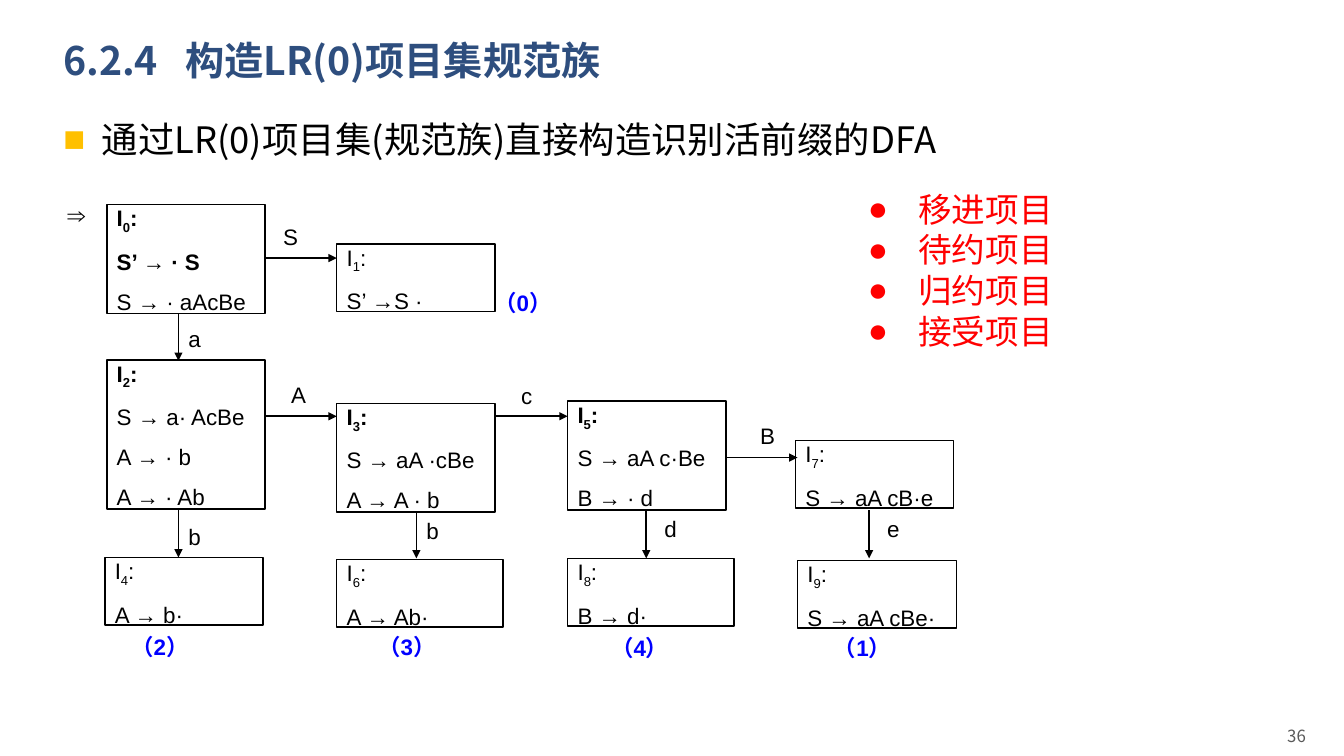
import pptx
import pptx.dml.color
import pptx.enum.shapes
import pptx.enum.text
import pptx.oxml
import pptx.oxml.ns
import pptx.util
from pptx.util import Inches

RGBColor = pptx.dml.color.RGBColor
BLACK = RGBColor(0x00, 0x00, 0x00)
NAVY = RGBColor(0x2E, 0x4E, 0x7E)
GOLD = RGBColor(0xFF, 0xC0, 0x00)
GRAY = RGBColor(0x59, 0x59, 0x59)
RED = RGBColor(0xFF, 0x00, 0x00)
BLUE = RGBColor(0x00, 0x00, 0xFF)

CJK = "Noto Sans CJK SC"
ALIGN = pptx.enum.text.PP_ALIGN
ANCHOR = pptx.enum.text.MSO_ANCHOR

TITLE = {"name": CJK, "size": 28, "color": NAVY, "bold": True}
BODY = {"name": CJK, "size": 26, "color": BLACK}
PAGE = {"name": CJK, "size": 12, "color": GRAY}
ITEM = {"name": "Arial", "size": 16, "color": BLACK}
KERNEL = {**ITEM, "bold": True}
REDUCTION = {**KERNEL, "color": BLUE}
KIND = {"name": "Arial", "size": 24, "color": RED}
START = {"name": "Times New Roman", "size": 18, "color": BLACK, "bold": True}

STATES = [
    (0, 1.06, 2.03, 1.57, 1.08, 2, ["S’ → · S", "S → · aAcBe"]),
    (1, 3.34, 2.42, 1.57, 0.67, 0, ["S’ →S ·"]),
    (2, 1.06, 3.57, 1.57, 1.48, 1, ["S → a· AcBe", "A → · b", "A → · Ab"]),
    (3, 3.34, 4.00, 1.57, 1.08, 1, ["S → aA ·cBe", "A → A · b"]),
    (4, 1.04, 5.53, 1.57, 0.67, 0, ["A → b·"]),
    (5, 5.63, 3.98, 1.57, 1.08, 1, ["S → aA c·Be", "B → · d"]),
    (6, 3.34, 5.55, 1.65, 0.67, 0, ["A → Ab·"]),
    (7, 7.89, 4.37, 1.57, 0.67, 0, ["S → aA cB·e"]),
    (8, 5.63, 5.54, 1.65, 0.67, 0, ["B → d·"]),
    (9, 7.91, 5.56, 1.58, 0.67, 0, ["S → aA cBe·"]),
]
TRANSITIONS = [
    ("S", 2.63, 2.56, 3.34, 2.56, 2.71, 2.16),
    ("A", 2.63, 4.13, 3.34, 4.13, 2.79, 3.73),
    ("c", 4.92, 4.13, 5.63, 4.13, 5.07, 3.74),
    ("B", 7.20, 4.54, 7.91, 4.54, 7.44, 4.14),
    ("a", 1.77, 3.11, 1.77, 3.58, 1.77, 3.18),
    ("b", 1.77, 5.06, 1.77, 5.53, 1.77, 5.14),
    ("b", 4.13, 5.07, 4.13, 5.54, 4.13, 5.08),
    ("d", 6.41, 5.06, 6.41, 5.54, 6.49, 5.06),
    ("e", 8.62, 5.06, 8.62, 5.54, 8.70, 5.06),
]
REDUCTIONS = [
    ("（0）", 4.74, 2.82),
    ("（2）", 1.14, 6.23),
    ("（3）", 3.59, 6.23),
    ("（4）", 5.90, 6.24),
    ("（1）", 8.11, 6.24),
]
ITEM_KINDS = ["移进项目", "待约项目", "归约项目", "接受项目"]


def add_element(parent, tag, **attributes):
    """Append a drawing element with attributes and return it."""
    element = pptx.oxml.parse_xml(f"<a:{tag} {pptx.oxml.ns.nsdecls('a')}/>")
    for key, value in attributes.items():
        element.set(key, str(value))
    parent.append(element)
    return element


def add_run(paragraph, text, style, subscript=False):
    """Add a run in the given style."""
    run = paragraph.add_run()
    run.text = text
    values = {**style, "size": pptx.util.Pt(style["size"])}
    run.font.color.rgb = values.pop("color")
    for key, value in values.items():
        setattr(run.font, key, value)
    properties = run._r.get_or_add_rPr()
    add_element(properties, "ea", typeface=style["name"])
    if subscript:
        properties.set("baseline", "-25000")


def add_text(slide, box, lines, style, anchor=ANCHOR.TOP, **formats):
    """Add a text box with one paragraph per line and return its paragraphs."""
    frame = slide.shapes.add_textbox(*map(Inches, box)).text_frame
    frame.word_wrap = True
    frame.vertical_anchor = anchor
    for index, line in enumerate(lines):
        paragraph = frame.add_paragraph() if index else frame.paragraphs[0]
        add_run(paragraph, line, style)
        for key, value in formats.items():
            setattr(paragraph, key, value)
    return frame.paragraphs


def add_bullets(paragraphs, character, color, indent):
    """Give paragraphs a coloured bullet and a hanging indent."""
    for paragraph in paragraphs:
        properties = paragraph._p.get_or_add_pPr()
        properties.set("marL", str(Inches(indent)))
        properties.set("indent", str(Inches(-indent)))
        bullet_color = add_element(properties, "buClr")
        add_element(bullet_color, "srgbClr", val=color)
        add_element(properties, "buFont", typeface="Arial")
        add_element(properties, "buChar", char=character)


def add_state(slide, number, left, top, width, height, bold_lines, items):
    """Add the box of one item set."""
    shape = slide.shapes.add_shape(
        pptx.enum.shapes.MSO_SHAPE.RECTANGLE,
        *map(Inches, (left, top, width, height)))
    shape.shadow.inherit = False
    shape.fill.background()
    shape.line.color.rgb = BLACK
    shape.line.width = pptx.util.Pt(1)
    frame = shape.text_frame
    formats = {"word_wrap": True, "vertical_anchor": ANCHOR.TOP,
               "margin_top": 0, "margin_bottom": 0}
    for key, value in formats.items():
        setattr(frame, key, value)
    heading = frame.paragraphs[0]
    heading.alignment = ALIGN.LEFT
    heading_style = KERNEL if bold_lines else ITEM
    add_run(heading, "I", heading_style)
    add_run(heading, str(number), heading_style, subscript=True)
    add_run(heading, ":", heading_style)
    for index, item in enumerate(items, start=1):
        paragraph = frame.add_paragraph()
        paragraph.alignment = ALIGN.LEFT
        paragraph.space_before = pptx.util.Pt(9.2)
        add_run(paragraph, item, KERNEL if index < bold_lines else ITEM)


def add_transition(slide, symbol, x1, y1, x2, y2, label_left, label_top):
    """Add an arrow between two states with its symbol."""
    arrow = slide.shapes.add_connector(
        pptx.enum.shapes.MSO_CONNECTOR.STRAIGHT,
        *map(Inches, (x1, y1, x2, y2)))
    arrow.line.color.rgb = BLACK
    arrow.line.width = pptx.util.Pt(1.25)
    add_element(arrow.line._get_or_add_ln(), "tailEnd", type="triangle")
    add_element(arrow._element.spPr, "effectLst")
    add_text(slide, (label_left, label_top, 0.31, 0.37), [symbol], ITEM)


def main():
    """Build the slide and save it."""
    presentation = pptx.Presentation()
    presentation.slide_width = Inches(13.33)
    presentation.slide_height = Inches(7.5)
    slide = presentation.slides.add_slide(presentation.slide_layouts[6])

    title = add_text(slide, (0.53, 0.28, 11.5, 0.68),
                     ["6.2.4\t构造LR(0)项目集规范族"], TITLE,
                     ANCHOR.MIDDLE, line_spacing=0.9)
    tabs = add_element(title[0]._p.get_or_add_pPr(), "tabLst")
    add_element(tabs, "tab", pos=Inches(1.21), algn="l")
    body = add_text(slide, (0.53, 1.03, 11.5, 0.68),
                    ["通过LR(0)项目集(规范族)直接构造识别活前缀的DFA"], BODY,
                    line_spacing=1.2)
    add_bullets(body, "■", GOLD, 0.38)
    add_text(slide, (9.16, 7.1, 3.89, 0.4), ["36"], PAGE,
             ANCHOR.MIDDLE, alignment=ALIGN.RIGHT)

    for state in STATES:
        add_state(slide, *state)
    for transition in TRANSITIONS:
        add_transition(slide, *transition)
    for label, left, top in REDUCTIONS:
        add_text(slide, (left, top, 0.89, 0.38), [label], REDUCTION,
                 alignment=ALIGN.CENTER)

    kinds = add_text(slide, (8.51, 1.82, 2.05, 1.72), ITEM_KINDS, KIND,
                     line_spacing=pptx.util.Pt(29))
    add_bullets(kinds, "●", RED, 0.5)
    add_text(slide, (0.57, 1.93, 0.49, 0.4), ["⇒"], START)
    presentation.save("out.pptx")


if __name__ == "__main__":
    main()
